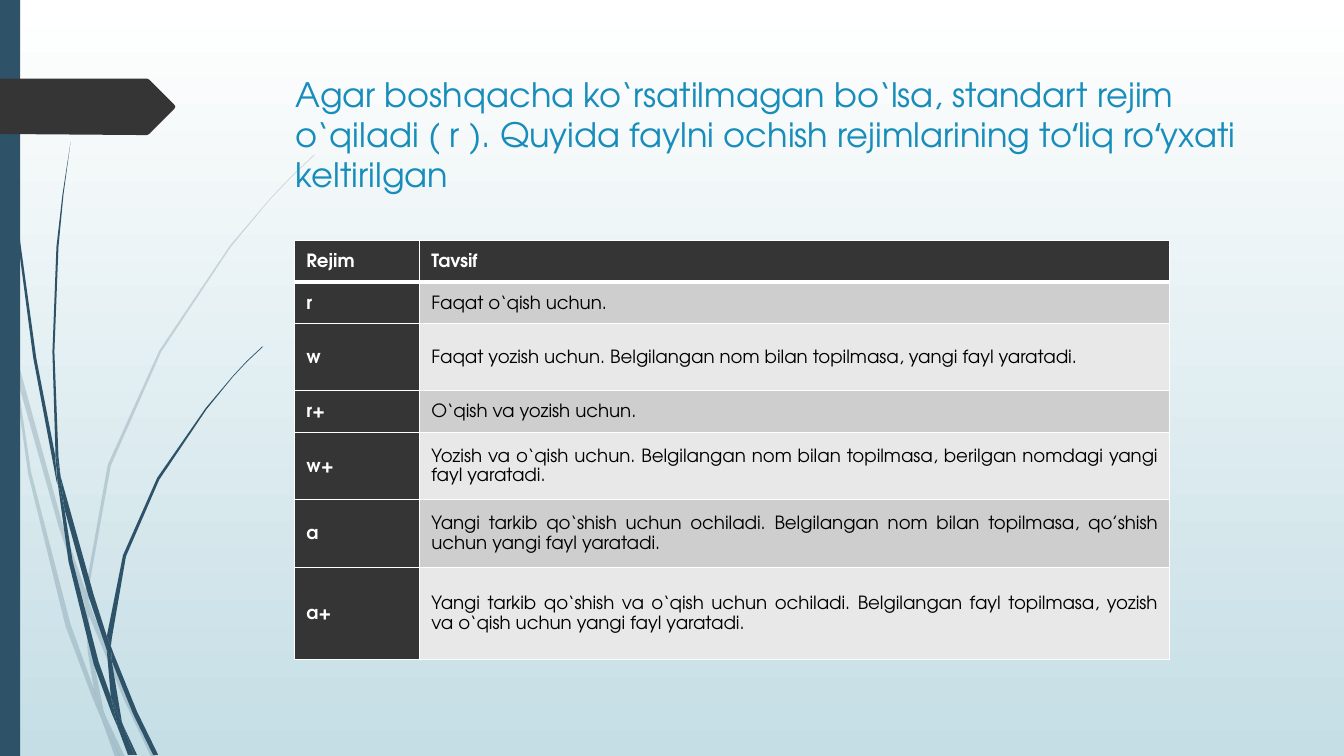
from lxml.etree import SubElement
from pptx import Presentation
from pptx.dml.color import RGBColor
from pptx.enum.shapes import MSO_SHAPE as Preset
from pptx.enum.text import MSO_ANCHOR as Anchor, PP_ALIGN as Align
from pptx.oxml.ns import qn
from pptx.util import Cm, Pt

FONT = "TeX Gyre Adventor"
WHITE = RGBColor(0xFF, 0xFF, 0xFF)
BLACK = RGBColor(0x00, 0x00, 0x00)
MIST = RGBColor(0xC5, 0xDE, 0xE5)
NAVY = RGBColor(0x2E, 0x53, 0x69)
CHARCOAL = RGBColor(0x35, 0x35, 0x35)
BLUE = RGBColor(0x17, 0x8D, 0xBB)
BANDS = [RGBColor(0xCE, 0xCE, 0xCE), RGBColor(0xE8, 0xE8, 0xE8)]

TITLE = "Agar boshqacha ko‘rsatilmagan bo‘lsa, standart rejim o‘qiladi ( r ). Quyida faylni ochish rejimlarining toʻliq roʻyxati keltirilgan"
MODES = [
    ("Rejim", "Tavsif", 1.04),
    ("r", "Faqat o‘qish uchun.", 1.04),
    ("w", "Faqat yozish uchun. Belgilangan nom bilan topilmasa, yangi fayl yaratadi.", 1.7),
    ("r+", "O‘qish va yozish uchun.", 1.04),
    ("w+", "Yozish va o‘qish uchun. Belgilangan nom bilan topilmasa, berilgan nomdagi yangi fayl yaratadi.", 1.7),
    ("a", "Yangi tarkib qo‘shish uchun ochiladi. Belgilangan nom bilan topilmasa, qo’shish uchun yangi fayl yaratadi.", 1.7),
    ("a+", "Yangi tarkib qo‘shish va o‘qish uchun ochiladi. Belgilangan fayl topilmasa, yozish va o‘qish uchun yangi fayl yaratadi.", 2.33),
]
COLUMNS = [3.15, 18.9]

UNIT = Cm(2.54) / 100
PALE_BLADES = [
    [(11, 350), (9, 322), (0, 282), (0, 299), (10, 344)],
    [(58, 522), (84, 599), (85, 586), (62, 520), (14, 345), (17, 376)],
    [(92, 607), (88, 596), (88, 610), (123, 694), (150, 751), (155, 751), (127, 692)],
    [(119, 751), (124, 751), (105, 711)],
    [(93, 683), (70, 619), (31, 469), (17, 376), (11, 350), (28, 470), (65, 621),
     (92, 693), (101, 714), (99, 707)],
    [(84, 599), (87, 646), (93, 683), (96, 692), (105, 711), (103, 706), (91, 646),
     (88, 610), (88, 608)],
    [(88, 584), (110, 462), (160, 349), (229, 245), (268, 198), (290, 175), (312, 154),
     (312, 153), (289, 175), (268, 197), (228, 244), (158, 348), (107, 461), (85, 584),
     (85, 586), (88, 596)],
    [(101, 714), (114, 751), (119, 751)],
    [(88, 608), (88, 610), (88, 596), (85, 586), (84, 599)],
    [(96, 692), (93, 683), (99, 707), (101, 714), (119, 751), (105, 711)],
]
DARK_BLADES = [
    [(7, 110), (17, 233), (33, 355), (56, 477), (57, 481), (55, 457), (55, 453),
     (36, 355), (19, 232), (8, 109), (5, 48), (4, 0), (3, 0), (4, 48)],
    [(88, 592), (106, 645), (106, 633), (106, 631), (93, 590), (60, 472), (64, 505)],
    [(113, 649), (110, 641), (111, 656), (132, 708), (152, 749), (157, 749), (136, 706)],
    [(110, 691), (98, 657), (72, 556), (64, 505), (57, 477), (68, 557), (93, 659),
     (111, 708), (117, 722), (116, 717)],
    [(60, 472), (58, 453), (54, 349), (58, 245), (63, 193), (70, 141), (62, 193),
     (56, 245), (52, 349), (55, 449)],
    [(133, 749), (136, 749), (122, 719)],
    [(57, 477), (64, 505), (60, 472), (55, 449), (55, 453)],
    [(111, 633), (125, 552), (158, 476), (205, 406), (231, 374), (245, 359), (261, 344),
     (260, 344), (245, 358), (231, 373), (204, 405), (156, 474), (122, 551), (106, 631),
     (110, 641)],
    [(117, 722), (127, 749), (131, 749)],
    [(106, 645), (110, 691), (116, 706), (122, 719), (121, 716), (111, 656), (109, 651)],
    [(106, 645), (109, 651), (111, 656), (110, 641), (106, 631), (106, 633)],
    [(116, 706), (110, 691), (116, 717), (117, 722), (130, 749), (133, 749), (122, 719)],
]
ARROW_TAG = [(0, 78), (146, 78), (148, 79), (173, 104), (174, 106), (173, 108),
             (148, 133), (146, 134), (136, 134), (0, 133)]


def apply(target, **values):
    for name, value in values.items():
        setattr(target, name, value)


def paint(shape, color, opacity=100):
    shape.shadow.inherit = False
    shape.line.fill.background()
    shape.fill.solid()
    shape.fill.fore_color.rgb = color
    if opacity < 100:
        tint = shape.fill._xPr.find(".//" + qn("a:srgbClr"))
        SubElement(tint, qn("a:alpha"), val=str(opacity * 1000))


def draw_outline(page, points, color, opacity=100):
    builder = page.shapes.build_freeform(*points[0], scale=UNIT)
    builder.add_line_segments(points[1:], close=True)
    paint(builder.convert_to_shape(), color, opacity)


def write(frame, text, size, color, bold=False, **layout):
    para = frame.paragraphs[0]
    apply(para, **layout)
    span = para.add_run()
    span.text = text
    apply(span.font, name=FONT, size=Pt(size), bold=bold)
    span.font.color.rgb = color


def draw_borders(cell, widths):
    properties = cell._tc.get_or_add_tcPr()
    for index, (side, width) in enumerate(widths.items()):
        line = properties.makeelement(qn("a:ln" + side), {"w": str(Pt(width))})
        fill = SubElement(line, qn("a:solidFill"))
        SubElement(fill, qn("a:srgbClr"), val=str(WHITE))
        properties.insert(index, line)


def add_modes(page):
    heights = [height for _, _, height in MODES]
    frame = page.shapes.add_table(len(MODES), len(COLUMNS), Cm(7.42), Cm(6.07),
                                  Cm(sum(COLUMNS)), Cm(sum(heights)))
    table = frame.table
    for column, width in zip(table.columns, COLUMNS):
        column.width = Cm(width)
    for row, (mode, meaning, height) in enumerate(MODES):
        table.rows[row].height = Cm(height)
        for column, text in enumerate((mode, meaning)):
            cell = table.cell(row, column)
            heading = row == 0 or column == 0
            apply(cell, vertical_anchor=Anchor.MIDDLE, margin_left=Cm(0.3),
                  margin_right=Cm(0.3), margin_top=Cm(0.2), margin_bottom=Cm(0.2))
            cell.fill.solid()
            cell.fill.fore_color.rgb = CHARCOAL if heading else BANDS[(row - 1) % 2]
            draw_borders(cell, {"L": 1, "R": 1, "T": 3 if row == 1 else 1,
                                "B": 3 if row == 0 else 1})
            write(cell.text_frame, text, 13, WHITE if heading else BLACK, heading,
                  alignment=Align.JUSTIFY, line_spacing=1.15)


def main():
    deck = Presentation()
    apply(deck, slide_width=Cm(33.87), slide_height=Cm(19.05))
    page = deck.slides.add_slide(deck.slide_layouts[6])

    backdrop = page.background.fill
    backdrop.gradient()
    backdrop.gradient_angle = 270
    for stop, color in zip(backdrop.gradient_stops, (WHITE, MIST)):
        stop.color.rgb = color

    for blades, opacity in ((PALE_BLADES, 20), (DARK_BLADES, 100)):
        for points in blades:
            draw_outline(page, points, NAVY, opacity)
    paint(page.shapes.add_shape(Preset.RECTANGLE, 0, 0, Cm(0.51), Cm(19.05)), NAVY)
    draw_outline(page, ARROW_TAG, CHARCOAL)

    box = page.shapes.add_textbox(Cm(7.21), Cm(1.73), Cm(24.77), Cm(3.56))
    apply(box.text_frame, word_wrap=True, vertical_anchor=Anchor.TOP)
    write(box.text_frame, TITLE, 24, BLUE, alignment=Align.LEFT)
    add_modes(page)
    deck.save("out.pptx")


if __name__ == "__main__":
    main()
